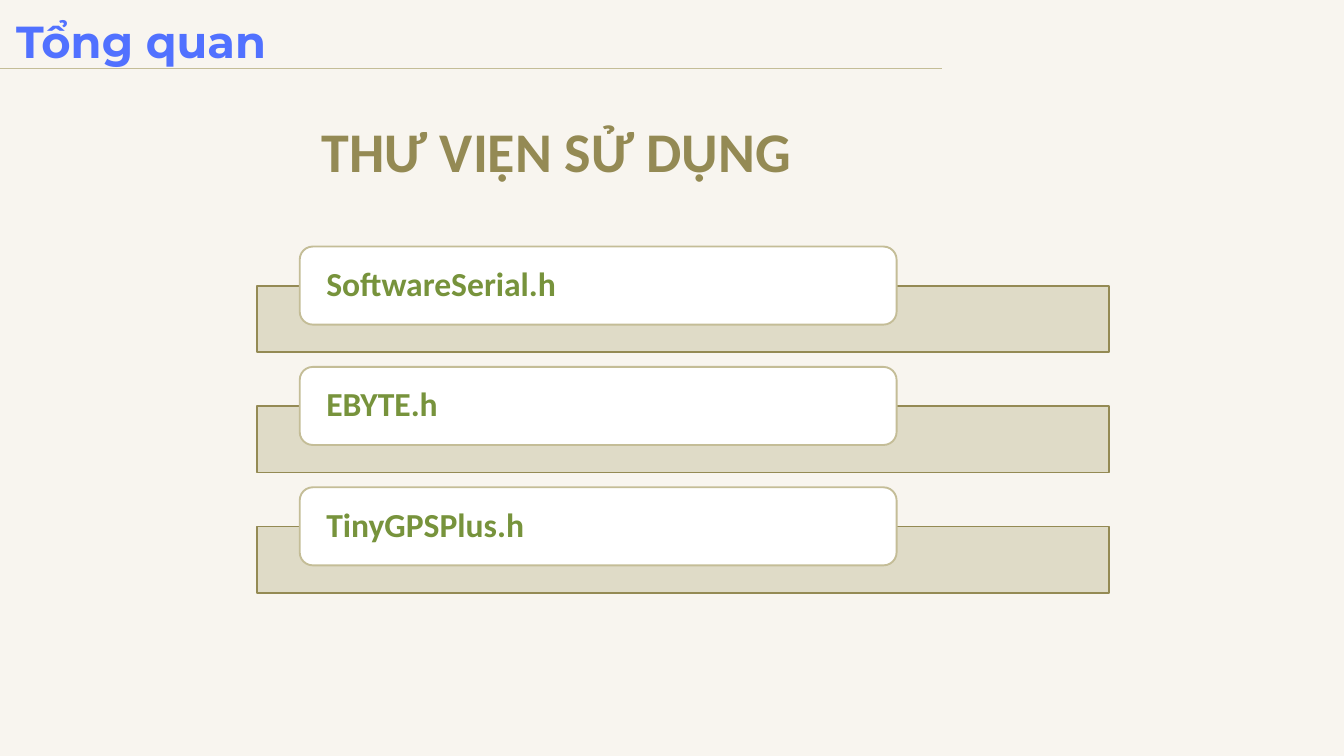
from lxml import etree
from pptx import Presentation
from pptx.dml.color import RGBColor
from pptx.enum.shapes import MSO_CONNECTOR as Link, MSO_SHAPE as Kind
from pptx.enum.text import MSO_ANCHOR as Anchor, PP_ALIGN as Align
from pptx.oxml.ns import qn
from pptx.util import Cm, Pt

CREAM = RGBColor(0xF8, 0xF5, 0xEF)
BLUE = RGBColor(0x51, 0x71, 0xFF)
OLIVE = RGBColor(0x94, 0x8A, 0x54)
SAND = RGBColor(0xDD, 0xD9, 0xC3)
TAN = RGBColor(0xC4, 0xBD, 0x97)
GREEN = RGBColor(0x77, 0x93, 0x3C)
WHITE = RGBColor(0xFF, 0xFF, 0xFF)

FILES = ["SoftwareSerial.h", "EBYTE.h", "TinyGPSPlus.h"]
TOP, STEP = 9.32, 4.55


def write(frame, text, face, size, color, space, align=Align.LEFT, inset=0):
    frame.word_wrap = True
    frame.margin_left = frame.margin_right = Cm(inset)
    frame.margin_top = frame.margin_bottom = 0
    para = frame.paragraphs[0]
    para.text = text
    para.alignment = align
    para.line_spacing = space
    font = para.font
    font.name, font.size, font.bold = face, Pt(size), True
    font.color.rgb = color


def add_text(slide, box, *style):
    frame = slide.shapes.add_textbox(*map(Cm, box)).text_frame
    write(frame, *style)


def add_rule(slide, y, width):
    rule = slide.shapes.add_connector(Link.STRAIGHT, 0, Cm(y), Cm(width), Cm(y))
    rule.line.color.rgb = TAN
    rule.line.width = Pt(0.75)
    etree.SubElement(rule._element.spPr, qn("a:effectLst"))


def add_block(slide, kind, box, fill, edge):
    block = slide.shapes.add_shape(kind, *map(Cm, box))
    block.shadow.inherit = False
    block.fill.solid()
    block.fill.fore_color.rgb = fill
    block.line.color.rgb = edge
    block.line.width = Pt(2)
    return block


def fade(shape, percent):
    """Set the opacity of a solid fill."""
    color = shape._element.spPr.find(qn("a:solidFill"))[0]
    etree.SubElement(color, qn("a:alpha"), val=str(percent * 1000))


def add_file(slide, name, top):
    """Draw a bar with a named card overlapping its upper edge."""
    bar = add_block(slide, Kind.RECTANGLE, (9.7, top + 1.48, 32.21, 2.51), SAND, OLIVE)
    fade(bar, 90)
    card = add_block(slide, Kind.ROUNDED_RECTANGLE, (11.33, top, 22.56, 2.95), WHITE, TAN)
    frame = card.text_frame
    frame.vertical_anchor = Anchor.MIDDLE
    write(frame, name, "Calibri", 36, GREEN, 0.9, Align.LEFT, 0.86)


def main():
    deck = Presentation()
    deck.slide_width, deck.slide_height = Cm(50.8), Cm(28.575)
    slide = deck.slides.add_slide(deck.slide_layouts[6])
    slide.background.fill.solid()
    slide.background.fill.fore_color.rgb = CREAM

    add_text(slide, (0.61, 0.1, 30.18, 2.46), "Tổng quan", "Montserrat", 48, BLUE, 1.2)
    add_rule(slide, 2.57, 35.61)
    add_text(slide, (1.83, 3.07, 38.4, 3.89), "THƯ VIỆN SỬ DỤNG",
             "Calibri", 60, OLIVE, 1.52, Align.CENTER)
    for i, name in enumerate(FILES):
        add_file(slide, name, TOP + i * STEP)
    deck.save("out.pptx")


if __name__ == "__main__":
    main()
